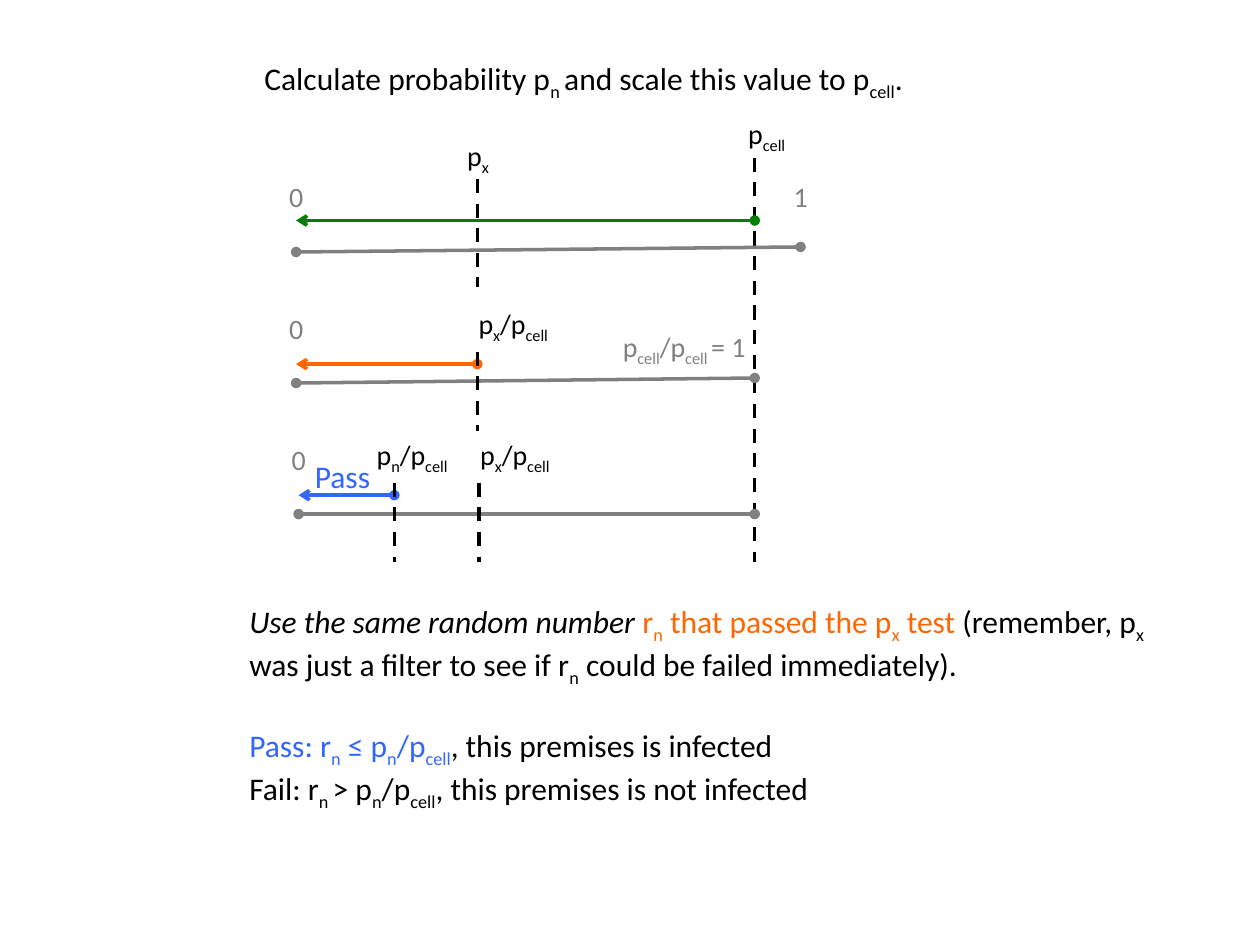
from collections import namedtuple

from lxml.etree import SubElement
from pptx import Presentation
from pptx.dml.color import RGBColor
from pptx.enum.dml import MSO_LINE_DASH_STYLE as Dash
from pptx.enum.shapes import MSO_CONNECTOR as Connector
from pptx.enum.text import MSO_AUTO_SIZE as AutoSize, PP_ALIGN as Align
from pptx.oxml.ns import qn
from pptx.util import Inches, Pt

Box = namedtuple("Box", "left top width height")

SLIDE_COLUMNS, SLIDE_ROWS = 100, 75
BLACK, GRAY, GREEN, ORANGE, BLUE = "000000", "808080", "008000", "FF6600", "3366FF"
SCALE = Box(23.5, 13.8, 36.4, 10.4)
PX_SHARE, PN_SHARE = 0.395, 0.21


def grid(units):
    """Convert grid columns or rows to a slide length."""
    return Inches(units / 10)


def rgb(hex_color):
    """Return the colour for a hex string."""
    return RGBColor.from_string(hex_color)


def write(paragraph, pieces, size):
    """Write (text, colour, italic) pieces; underscores enclose subscripts."""
    for text, color, italic in pieces:
        for index, part in enumerate(text.split("_")):
            if not part:
                continue
            run = paragraph.add_run()
            run.text = part
            run.font.name = "Calibri"
            run.font.size = Pt(size)
            run.font.italic = italic
            run.font.color.rgb = rgb(color)
            if index % 2:
                run.font._element.set("baseline", "-25000")


def text_frame(slide, box):
    """Add a wrapping text box and return its frame."""
    frame = slide.shapes.add_textbox(*map(grid, box)).text_frame
    frame.word_wrap = True
    frame.auto_size = AutoSize.SHAPE_TO_FIT_TEXT
    return frame


def label(slide, box, text, color=BLACK, align=Align.RIGHT, size=16):
    """Add a single-line label."""
    paragraph = text_frame(slide, box).paragraphs[0]
    paragraph.alignment = align
    write(paragraph, [(text, color, False)], size)


def line(slide, start, end, color, tail=None):
    """Draw a dashed line, or a solid one from a dot to the given tail."""
    connector = slide.shapes.add_connector(
        Connector.STRAIGHT, *map(grid, start + end))
    connector.line.color.rgb = rgb(color)
    connector.line.width = Pt(2)
    properties = connector._element.spPr
    if tail:
        outline = properties.find(qn("a:ln"))
        SubElement(outline, qn("a:headEnd"), type="oval")
        SubElement(outline, qn("a:tailEnd"), type=tail)
    else:
        connector.line.dash_style = Dash.DASH
    SubElement(properties, qn("a:effectLst"))


def heading(slide, box):
    """Write the task above the number lines."""
    label(slide, box, "Calculate probability p_n _and scale this value to p_cell_.",
          align=Align.LEFT, size=18)


def cell_threshold(slide, box):
    """Mark p_cell across all the number lines."""
    right = box.left + box.width
    line(slide, (right, box.top - 1.3), (right, box.top + 30.8), BLACK)
    label(slide, Box(right - 3.4, box.top - 5, 6.8, 3.7), "p_cell_")


def number_line(slide, box, color, arrow_share, arrow_row, axis_share=1, rise=0.4):
    """Draw an axis starting at 0 with a coloured arrow back to 0."""
    axis_row = box.top + 6.2
    line(slide, (box.left, axis_row),
         (box.left + box.width * axis_share, axis_row - rise), GRAY, "oval")
    label(slide, Box(box.left - 2, box.top, 4, 3.7), "0", GRAY, Align.CENTER)
    line(slide, (box.left + box.width * arrow_share, box.top + arrow_row),
         (box.left, box.top + arrow_row), color, "arrow")


def mark(slide, box, share, text, text_box, first_row=3.7, last_row=10):
    """Mark a probability on a number line; text_box is relative to the mark."""
    column = box.left + box.width * share
    line(slide, (column, box.top + first_row), (column, box.top + last_row), BLACK)
    label(slide, Box(column + text_box.left, box.top + text_box.top,
                     text_box.width, text_box.height), text)


def number_lines(slide, box):
    """Draw the full, filtered and final number lines."""
    full, filtered, final = (
        box._replace(top=box.top + row * box.height) for row in range(3))
    final = final._replace(left=box.left + 0.2, width=box.width - 0.2)
    cell_threshold(slide, box)
    ratio = Box(-4.7, -0.4, 11.3, 5.5)

    number_line(slide, full, GREEN, 1, 3.7, axis_share=1.1)
    label(slide, Box(box.left + 37.9, box.top, 4.3, 3.7), "1", GRAY, Align.CENTER)
    mark(slide, full, PX_SHARE, "p_x_", Box(-2.1, -3.3, 4, 3.7), 0.4, 9)

    number_line(slide, filtered, ORANGE, PX_SHARE, 4.7)
    mark(slide, filtered, PX_SHARE, "p_x_/p_cell_", ratio)
    label(slide, Box(box.left + 24.3, filtered.top + 1.5, 13, 3.7),
          "p_cell_/p_cell _= 1", GRAY, Align.CENTER)

    number_line(slide, final, BLUE, PN_SHARE, 4.7, rise=0)
    mark(slide, final, PX_SHARE, "p_x_/p_cell_", ratio)
    mark(slide, final, PN_SHARE, "p_n_/p_cell_", Box(-3.9, -0.4, 9.1, 5.5))
    label(slide, Box(final.left + 0.3, final.top + 1.2, 7.1, 4),
          "Pass", BLUE, Align.LEFT, 18)


def decision_rules(slide, box):
    """Explain how the random number decides infection."""
    frame = text_frame(slide, box)
    frame.margin_top = grid(3.55)
    rules = [
        (0, [("Use the same random number ", BLACK, True),
             ("r_n_ that passed the p_x_ test ", ORANGE, False),
             ("(remember, p_x_ was just a filter to see if r_n_ could be "
              "failed immediately).", BLACK, False)]),
        (22, [("Pass: r_n_ ≤ p_n_/p_cell_", BLUE, False),
              (", this premises is infected", BLACK, False)]),
        (0, [("Fail: r_n _> p_n_/p_cell_, this premises is not infected",
              BLACK, False)]),
    ]
    for index, (gap, pieces) in enumerate(rules):
        paragraph = frame.add_paragraph() if index else frame.paragraphs[0]
        paragraph.space_before = Pt(gap)
        write(paragraph, pieces, 18)


def main():
    """Build and save the slide."""
    deck = Presentation()
    deck.slide_width, deck.slide_height = grid(SLIDE_COLUMNS), grid(SLIDE_ROWS)
    slide = deck.slides.add_slide(deck.slide_layouts[6])
    heading(slide, Box(20, 4.2, 61.1, 4))
    number_lines(slide, SCALE)
    decision_rules(slide, Box(18.8, 44.2, 76.5, 22.2))
    deck.save("out.pptx")


if __name__ == "__main__":
    main()
